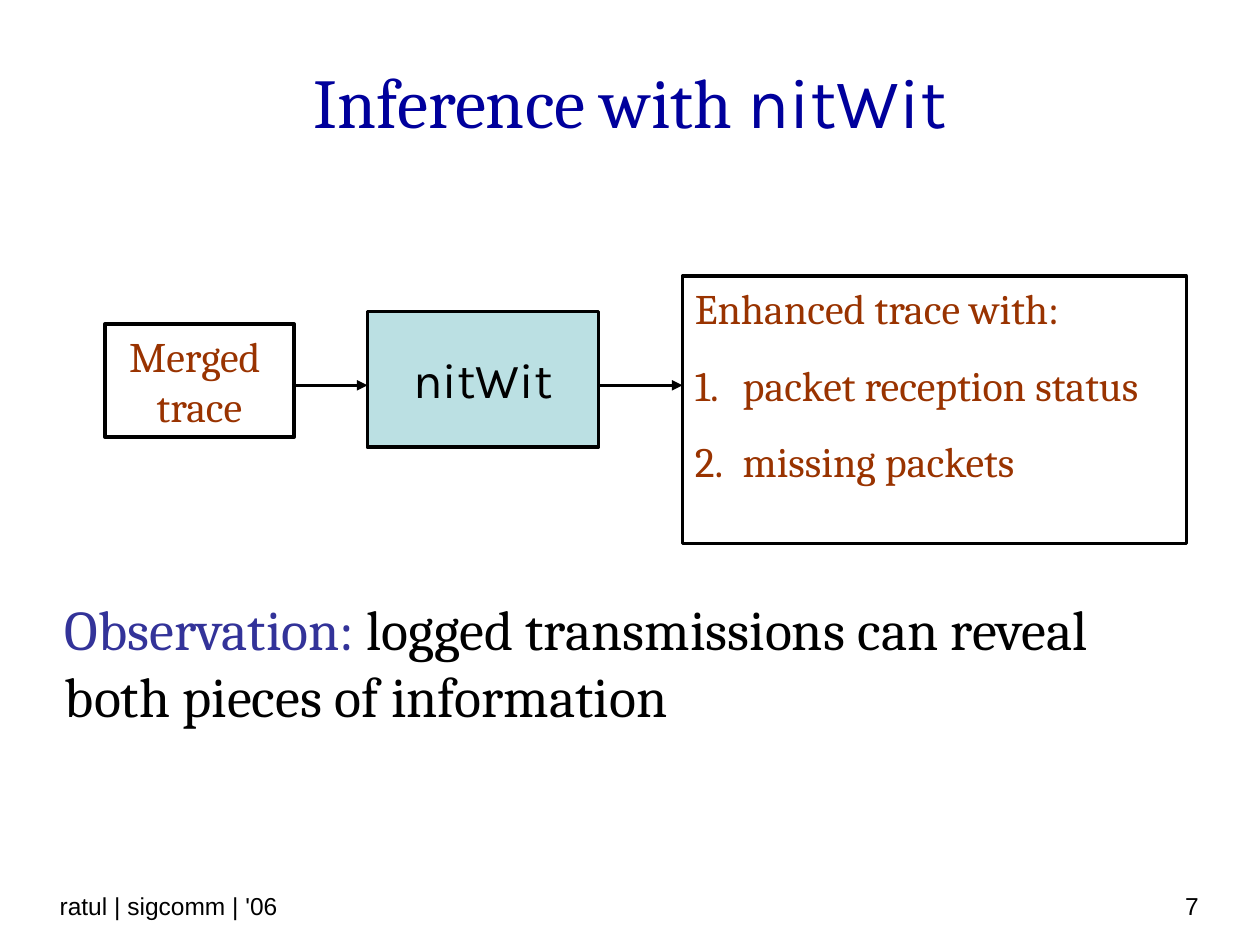
from dataclasses import dataclass

from lxml.etree import SubElement
from pptx import Presentation
from pptx.dml.color import RGBColor as RGB
from pptx.enum.shapes import MSO_CONNECTOR as Connector, MSO_SHAPE as Shape
from pptx.enum.text import MSO_ANCHOR as Anchor, PP_ALIGN as Align
from pptx.oxml import parse_xml
from pptx.oxml.ns import nsdecls, qn
from pptx.util import Inches, Pt


@dataclass(frozen=True)
class Theme:
    serif: str = "Cambria"
    tool: str = "Karla"
    sans: str = "Arial"
    title: RGB = RGB(0x00, 0x00, 0x9C)
    accent: RGB = RGB(0x33, 0x33, 0x99)
    trace: RGB = RGB(0x99, 0x33, 0x00)
    ink: RGB = RGB(0x00, 0x00, 0x00)
    tool_fill: RGB = RGB(0xBB, 0xE0, 0xE3)
    title_size: int = 40
    body_size: int = 32
    tool_size: int = 28
    trace_size: int = 24
    footer_size: int = 14
    line_width: int = 2


theme = Theme()
deck = Presentation()
deck.slide_width, deck.slide_height = Inches(10), Inches(7.5)
slide = deck.slides.add_slide(deck.slide_layouts[6])
UNIT = deck.slide_width / 24  # square grid: 24 columns by 18 rows


def grid(*cells):
    return [round(cell * UNIT) for cell in cells]


def write(holder, lines, font, size, color, align=Align.LEFT,
          anchor=Anchor.TOP, before=0):
    """Fill a shape with one paragraph per line and return the paragraphs."""
    frame = holder.text_frame
    frame.word_wrap = True
    frame.vertical_anchor = anchor
    for _ in lines[1:]:
        frame.add_paragraph()
    for paragraph, line in zip(frame.paragraphs, lines):
        paragraph.text = line
        paragraph.alignment = align
        paragraph.space_before = Pt(before)
        paragraph.font.name = font
        paragraph.font.size = Pt(size)
        paragraph.font.color.rgb = color
    return frame.paragraphs


# Title and observation, each with one run in a second style
title = slide.shapes.add_textbox(*grid(1.2, 0.77, 21.6, 2.28))
[heading] = write(title, ["Inference with "], theme.serif, theme.title_size,
                  theme.title, Align.CENTER, Anchor.MIDDLE)
tool_name = heading.add_run()
tool_name.text = "nitWit"
tool_name.font.name = theme.tool

observation = slide.shapes.add_textbox(*grid(1, 11.2, 22, 3.6))
[finding] = write(observation, ["Observation: "], theme.serif,
                  theme.body_size, theme.ink, before=8)
finding.runs[0].font.color.rgb = theme.accent
finding.add_run().text = "logged transmissions can reveal both pieces of information"

# Pipeline: merged trace -> nitWit -> enhanced trace
boxes = []
for cells, fill in (
    ((2, 6.17, 3.6, 2.16), None),
    ((7, 5.93, 4.4, 2.59), theme.tool_fill),
    ((13, 5.26, 9.6, 5.09), None),
):
    box = slide.shapes.add_shape(Shape.RECTANGLE, *grid(*cells))
    box.shadow.inherit = False
    box.line.color.rgb = theme.ink
    box.line.width = Pt(theme.line_width)
    if fill is None:
        box.fill.background()
    else:
        box.fill.solid()
        box.fill.fore_color.rgb = fill
    boxes.append(box)
merged, tool, enhanced = boxes

write(merged, ["Merged \vtrace"], theme.serif, theme.trace_size, theme.trace,
      Align.CENTER, before=15)
write(tool, ["nitWit"], theme.tool, theme.tool_size, theme.ink,
      Align.CENTER, Anchor.MIDDLE, before=17.5)
outputs = write(
    enhanced,
    ["Enhanced trace with:", "packet reception status", "missing packets"],
    theme.serif, theme.trace_size, theme.trace, before=15)
for paragraph in outputs:
    props = paragraph._p.get_or_add_pPr()
    props.set("marL", str(Inches(0.38)))
    props.set("indent", str(-Inches(0.38)))
    if paragraph is not outputs[0]:
        props.find(qn("a:defRPr")).addprevious(parse_xml(
            f'<a:buAutoNum {nsdecls("a")} type="arabicPeriod"/>'))

[flow_y] = grid(7.34)
for source, target in zip(boxes, boxes[1:]):
    arrow = slide.shapes.add_connector(
        Connector.STRAIGHT, source.left + source.width, flow_y,
        target.left, flow_y)
    arrow.line.color.rgb = theme.ink
    arrow.line.width = Pt(theme.line_width)
    SubElement(arrow.line._get_or_add_ln(), qn("a:tailEnd"), type="triangle")
    SubElement(arrow._element.spPr, qn("a:effectLst"))

# Footer
for left, width, words, align in (
    (17.47, 5.6, "7", Align.RIGHT),
    (0.9, 9.67, "ratul | sigcomm | '06", Align.LEFT),
):
    footer = slide.shapes.add_textbox(*grid(left, 16.4, width, 1.25))
    write(footer, [words], theme.sans, theme.footer_size, theme.ink, align,
          Anchor.BOTTOM)

deck.save("out.pptx")
